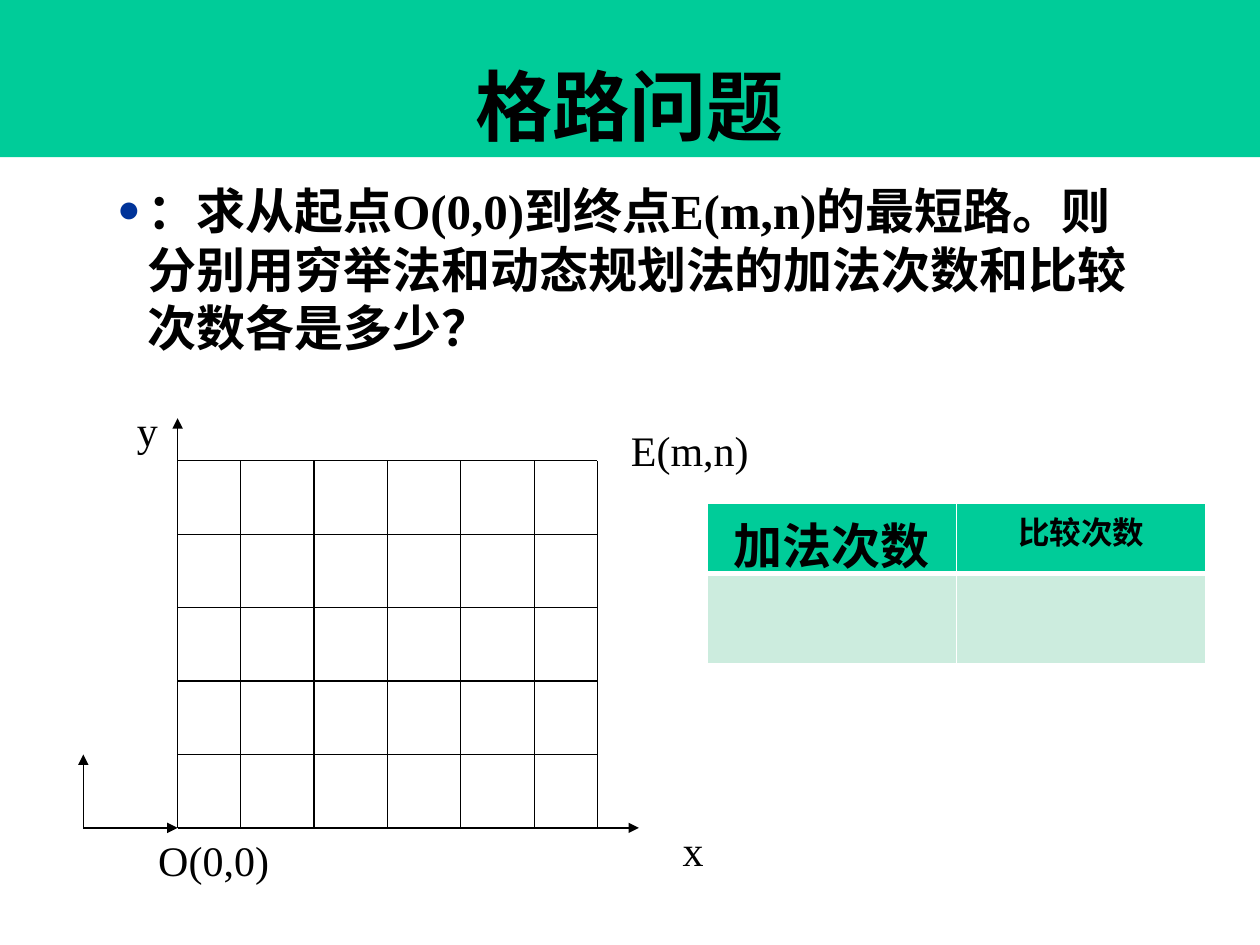
from lxml.etree import SubElement
from pptx import Presentation
from pptx.dml.color import RGBColor
from pptx.enum.shapes import MSO_CONNECTOR as Conn, MSO_SHAPE as Shape
from pptx.enum.text import MSO_ANCHOR as Anchor, PP_ALIGN as Align
from pptx.oxml.ns import qn
from pptx.util import Cm, Pt

BLACK = RGBColor(0x00, 0x00, 0x00)
WHITE = RGBColor(0xFF, 0xFF, 0xFF)
GREEN = RGBColor(0x00, 0xCC, 0x99)
PALE = RGBColor(0xCC, 0xEC, 0xDE)
BLUE = RGBColor(0x00, 0x33, 0x99)
FONT = "Times New Roman"


def write(para, text, size, bold=False, align=None):
    para.text = text
    para.alignment = align
    font = para.font
    font.name, font.size, font.bold = FONT, Pt(size), bold
    font.color.rgb = BLACK


def add_text(shapes, text, size, left, top, width, height):
    box = shapes.add_textbox(Cm(left), Cm(top), Cm(width), Cm(height))
    box.text_frame.word_wrap = True
    para = box.text_frame.paragraphs[0]
    write(para, text, size)
    return para


def add_bullet(para, indent):
    props = para._p.get_or_add_pPr()
    props.set("marL", str(Cm(indent)))
    props.set("indent", str(-Cm(indent)))
    color = SubElement(props, qn("a:buClr"))
    SubElement(color, qn("a:srgbClr"), val=str(BLUE))
    SubElement(props, qn("a:buSzPct"), val="80000")
    SubElement(props, qn("a:buFont"), typeface=FONT)
    SubElement(props, qn("a:buChar"), char="●")


def add_line(shapes, x1, y1, x2, y2, arrow=False):
    line = shapes.add_connector(Conn.STRAIGHT, Cm(x1), Cm(y1), Cm(x2), Cm(y2))
    line.line.color.rgb = BLACK
    line.line.width = Pt(0.75)
    if arrow:
        SubElement(line.line._get_or_add_ln(), qn("a:tailEnd"), type="triangle")
    SubElement(line._element.spPr, qn("a:effectLst"))


def add_title(slide, left, top, width, height):
    bar = slide.shapes.add_shape(
        Shape.RECTANGLE, Cm(left), Cm(top), Cm(width), Cm(height))
    bar.shadow.inherit = False
    bar.fill.solid()
    bar.fill.fore_color.rgb = GREEN
    bar.line.fill.background()
    bar.text_frame.vertical_anchor = Anchor.BOTTOM
    write(bar.text_frame.paragraphs[0], "格路问题", 44, True, Align.CENTER)


def add_problem(slide, left, top, width, height):
    box = slide.shapes.add_textbox(Cm(left), Cm(top), Cm(width), Cm(height))
    box.text_frame.word_wrap = True
    para = box.text_frame.paragraphs[0]
    add_bullet(para, 0.62)
    write(para, "：求从起点O(0,0)到终点E(m,n)的最短路。则分别用穷举法和"
          "动态规划法的加法次数和比较次数各是多少？", 28, True)


def add_grid(slide, left, top, width, height):
    """Draw the lattice in the box; axes, unit arrows and labels lie around it."""
    parts = slide.shapes.add_group_shape().shapes
    right, base = left + width, top + height
    rows, cols = 5, 6
    step = height / rows
    edge = (width - (cols - 2) * step) / 2  # narrower outer columns

    add_line(parts, left, base, left, top - 0.86, True)
    add_line(parts, left, base, right + 0.84, base, True)
    for row in range(rows):
        y = top + row * step
        add_line(parts, left, y, right, y)
    for x in [left + edge + col * step for col in range(cols - 1)] + [right]:
        add_line(parts, x, top, x, base)

    start = left - 1.9
    add_line(parts, start, base, left, base, True)
    add_line(parts, start, base, start, base - step, True)

    for text, x, y, wide in (
        ("E(m,n)", right + 0.43, top - 0.86, 2.97),
        ("O(0,0)", left - 0.64, base, 3.18),
        ("x", right + 1.47, base - 0.2, 2.34),
        ("y", left - 1.07, top - 1.27, 1.9),
    ):
        add_text(parts, text, 24, x, y, wide, 1.27)


def style_cell(cell, fill, **edges):
    """Fill a cell and give it white borders of the given widths in points."""
    props = cell._tc.get_or_add_tcPr()
    for side in "LRTB":
        width = Pt(edges.get(side, 1))
        line = SubElement(props, qn(f"a:ln{side}"), w=str(width))
        paint = SubElement(line, qn("a:solidFill"))
        SubElement(paint, qn("a:srgbClr"), val=str(WHITE))
    cell.fill.solid()
    cell.fill.fore_color.rgb = fill


def add_counts(slide, left, top, width, height):
    heads = (("加法次数", 28), ("比较次数", 18))
    table = slide.shapes.add_table(
        2, len(heads), Cm(left), Cm(top), Cm(width), Cm(height)).table
    table.rows[0].height = Cm(1.42)
    table.rows[1].height = Cm(height - 1.42)
    for col, (text, size) in enumerate(heads):
        head, body = table.cell(0, col), table.cell(1, col)
        style_cell(head, GREEN, B=3)
        style_cell(body, PALE, T=3)
        head.margin_top = head.margin_bottom = Cm(0.1)
        write(head.text_frame.paragraphs[0], text, size, True, Align.CENTER)


def main():
    deck = Presentation()
    deck.slide_width, deck.slide_height = Cm(25.4), Cm(19.05)
    slide = deck.slides.add_slide(deck.slide_layouts[6])
    add_title(slide, 0, 0, 25.4, 3.17)
    add_problem(slide, 2.11, 3.51, 21.16, 3.84)
    add_grid(slide, 3.58, 9.29, 8.46, 7.4)
    add_counts(slide, 14.25, 10.14, 10.06, 3.25)
    deck.save("out.pptx")


if __name__ == "__main__":
    main()
